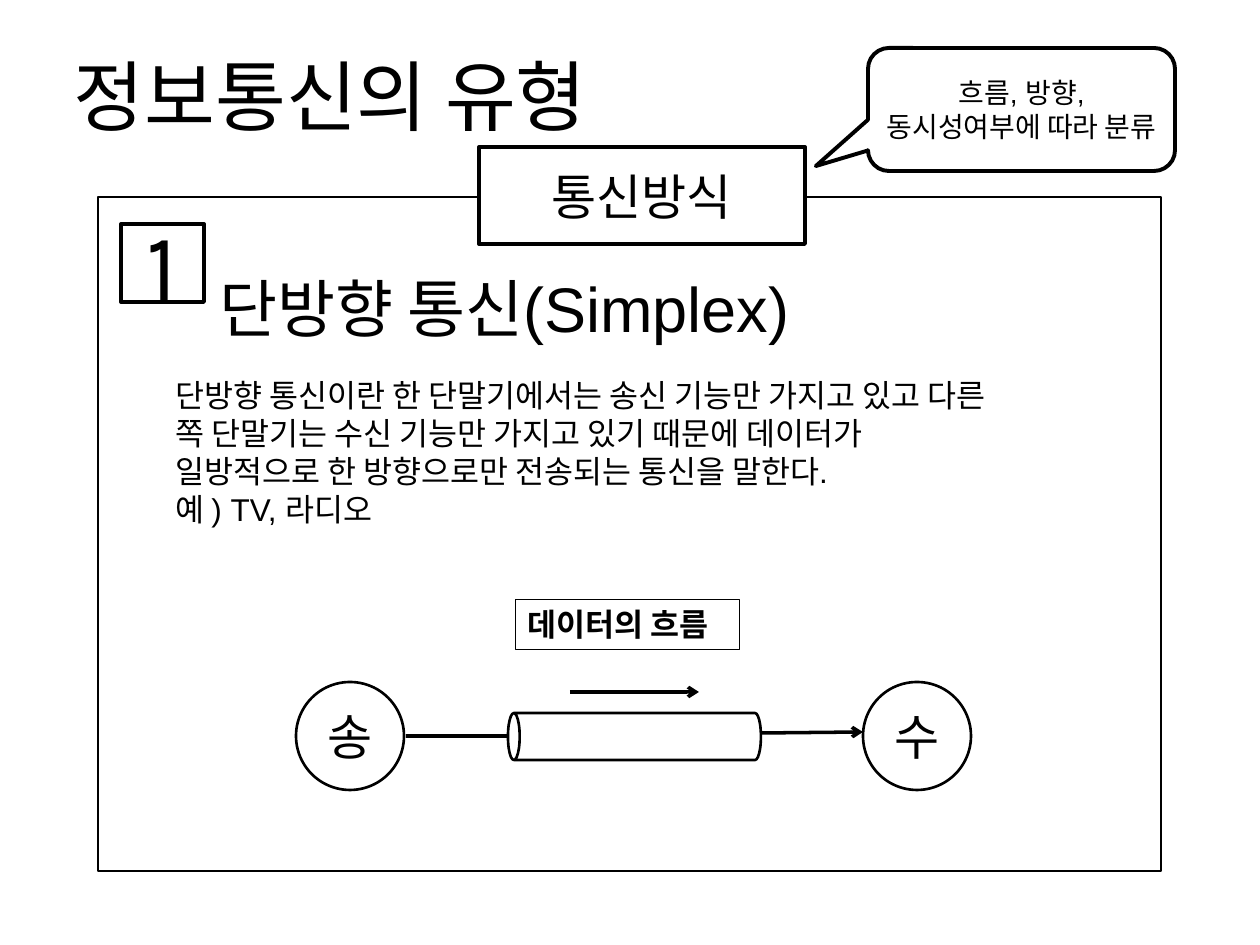
from lxml import etree
from pptx import Presentation
from pptx import util as u
from pptx.dml.color import RGBColor
from pptx.enum import shapes, text
from pptx.oxml.ns import qn

PX = 914400 / 126
BLACK = RGBColor(0, 0, 0)
WHITE = RGBColor(255, 255, 255)
KOREAN_FONT = "Noto Sans CJK KR"
KIND = shapes.MSO_SHAPE

# box (left, top, width, height), text, size, font, bold
TITLE = ((44, 42, 597, 106), " 정보통신의 유형", 44, "Karla")
HEADING = ((193, 263, 810, 89), " 단방향 통신(Simplex)", 36, "Arial")
BODY = ((163, 370, 935, 165),
        "단방향 통신이란 한 단말기에서는 송신 기능만 가지고 있고 다른\v"
        "쪽 단말기는 수신 기능만 가지고 있기 때문에 데이터가\v"
        "일방적으로 한 방향으로만 전송되는 통신을 말한다.\v"
        "예 ) TV, 라디오", 18, "Arial")
FLOW_LABEL = ((515, 599, 224, 50), "데이터의 흐름", 18, KOREAN_FONT, True)

# kind, box, line width, text, size, font
FRAME = (KIND.RECTANGLE, (98, 197, 1063, 674), 1.5)
TAB = (KIND.RECTANGLE, (479, 147, 326, 97), 2.25, "통신방식", 28, "Karla")
NUMBER = (KIND.RECTANGLE, (121, 224, 83, 78), 2.25, "1", 54, "Karla")
SENDER = (KIND.OVAL, (296, 682, 108, 108), 1.5, "송", 28, "Karla")
RECEIVER = (KIND.OVAL, (863, 682, 108, 108), 1.5, "수", 28, "Karla")
CHANNEL = (KIND.CAN, (611, 610, 47, 253), 1.5)
CALLOUT = (KIND.ROUNDED_RECTANGULAR_CALLOUT, (868, 48, 307, 123), 2.25,
           "흐름, 방향,\v동시성여부에 따라 분류", 16, "Arial")

# start, end, has arrowhead
LINES = [
    ((761, 733), (863, 732), True),
    ((406, 736), (508, 736), False),
    ((570, 692), (699, 692), True),
]


def emu(lengths):
    return [round(length * PX) for length in lengths]


def write(shape, words, size, font, bold=False, centred=False):
    frame = shape.text_frame
    frame.word_wrap = True
    frame.text = words
    if centred:
        frame.vertical_anchor = text.MSO_ANCHOR.MIDDLE
    for paragraph in frame.paragraphs:
        paragraph.alignment = text.PP_ALIGN.CENTER if centred else text.PP_ALIGN.LEFT
        for run in paragraph.runs:
            run.font.size = u.Pt(size)
            run.font.name = font
            run.font.bold = bold
            run.font.color.rgb = BLACK
            latin = run.font._element.find(qn("a:latin"))
            east_asian = etree.Element(qn("a:ea"), typeface=KOREAN_FONT)
            latin.addnext(east_asian)


def outline(shape, width):
    shape.line.color.rgb = BLACK
    shape.line.width = u.Pt(width)


def add_text(slide, box, *content):
    shape = slide.shapes.add_textbox(*emu(box))
    write(shape, *content)
    return shape


def add_figure(slide, kind, box, width, *content):
    shape = slide.shapes.add_shape(kind, *emu(box))
    shape.shadow.inherit = False
    shape.fill.solid()
    shape.fill.fore_color.rgb = WHITE
    outline(shape, width)
    if content:
        write(shape, *content, centred=True)
    return shape


def add_line(slide, start, end, has_arrow):
    line = slide.shapes.add_connector(
        shapes.MSO_CONNECTOR.STRAIGHT, *emu(start + end))
    outline(line, 2)
    if has_arrow:
        etree.SubElement(line.line._get_or_add_ln(), qn("a:tailEnd"), type="arrow")
    etree.SubElement(line._element.spPr, qn("a:effectLst"))


def main():
    presentation = Presentation()
    presentation.slide_width = u.Inches(10)
    presentation.slide_height = u.Inches(7.5)
    slide = presentation.slides.add_slide(presentation.slide_layouts[6])

    add_text(slide, *TITLE)
    for figure in (FRAME, TAB, NUMBER):
        add_figure(slide, *figure)
    add_text(slide, *HEADING)
    add_text(slide, *BODY)
    for figure in (SENDER, RECEIVER):
        add_figure(slide, *figure)
    add_figure(slide, *CHANNEL).rotation = 270
    for line in LINES:
        add_line(slide, *line)
    outline(add_text(slide, *FLOW_LABEL), 0.25)
    callout = add_figure(slide, *CALLOUT)
    for index, value in enumerate((-0.67, 0.46, 0.17)):
        callout.adjustments[index] = value

    presentation.save("out.pptx")


if __name__ == "__main__":
    main()
